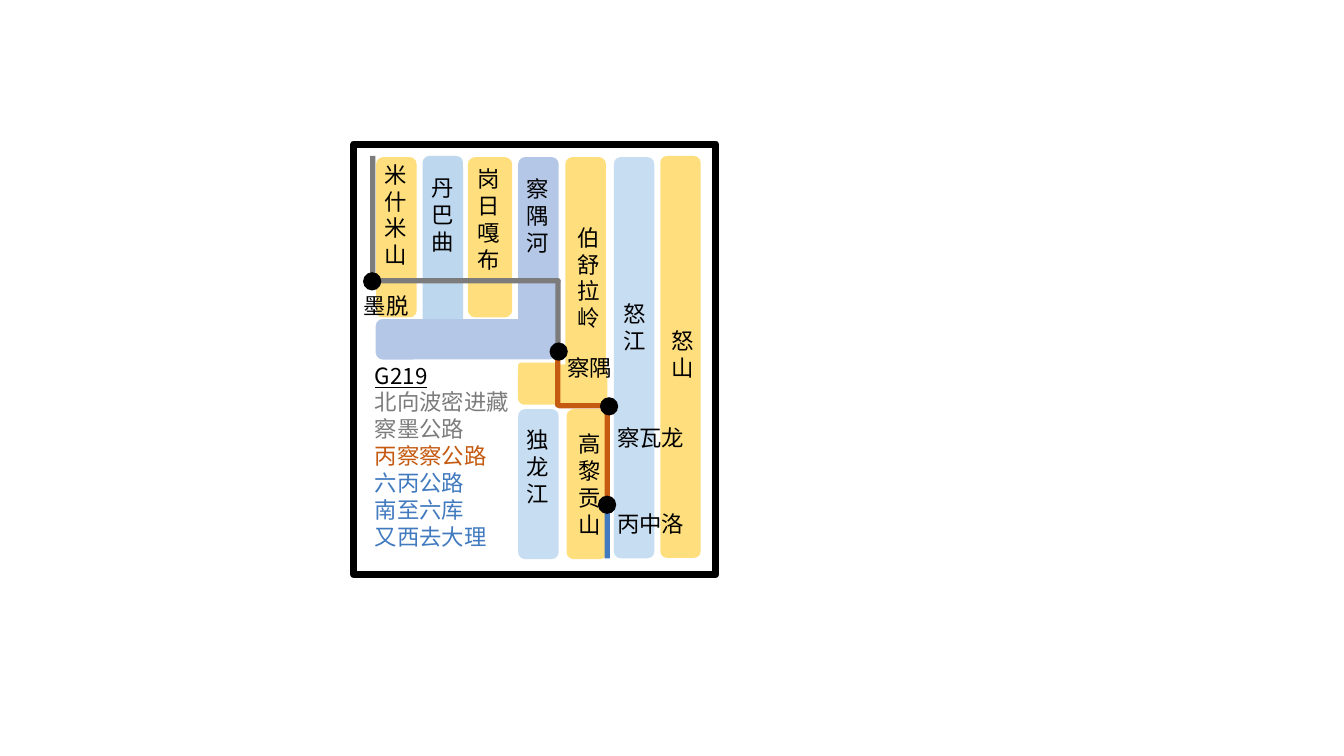
import dataclasses
import pptx
import pptx.dml.color
import pptx.enum.shapes
import pptx.enum.text
import pptx.oxml.ns
import pptx.util
from lxml import etree

Cm, Pt = pptx.util.Cm, pptx.util.Pt
RGB = pptx.dml.color.RGBColor.from_string
KIND = pptx.enum.shapes.MSO_SHAPE
ALIGN = pptx.enum.text.PP_ALIGN
MID = pptx.enum.text.MSO_ANCHOR.MIDDLE
qn = pptx.oxml.ns.qn


@dataclasses.dataclass(frozen=True)
class Theme:
    """Colours, font and type sizes of the map."""
    ink: str = "000000"
    gold: str = "FFC000"
    sand: str = "FFDF7D"
    river: str = "C7DDF1"
    stream: str = "BDD7EE"
    delta: str = "B4C7E7"
    grey: str = "7C7C7C"
    rust: str = "C55A11"
    blue: str = "417ABF"
    font: str = "Noto Sans CJK SC"
    size: float = 16
    pitch: float = 19.2
    frame: float = 5
    clear: int = 51


LOOK = Theme()


def place(box, x, y, wide, high):
    """Turn a spot inside the box into slide lengths."""
    return Cm(box[0] + x), Cm(box[1] + y), Cm(wide), Cm(high)


def form(slide, kind, spot, hue, adj=None):
    """Add a flat shape without outline or shadow."""
    item = slide.shapes.add_shape(kind, *spot)
    item.shadow.inherit = False
    item.line.fill.background()
    item.fill.solid()
    item.fill.fore_color.rgb = RGB(hue)
    if hue == LOOK.gold:
        tint = item.fill._xPr.find(".//" + qn("a:srgbClr"))
        etree.SubElement(tint, qn("a:alpha"), val=str(LOOK.clear * 1000))
    if adj is not None:
        item.adjustments[0] = adj
    return item


def write(frame, lines, align=ALIGN.LEFT):
    """Fill a text frame with (text, colour, underline) lines."""
    frame.word_wrap = True
    for num, (text, hue, under) in enumerate(lines):
        para = frame.add_paragraph() if num else frame.paragraphs[0]
        para.alignment, para.line_spacing = align, Pt(LOOK.pitch)
        run = para.add_run()
        run.text = text
        style = {"name": LOOK.font, "size": Pt(LOOK.size), "underline": under}
        for key, val in style.items():
            setattr(run.font, key, val)
        run.font.color.rgb = RGB(hue)
        etree.SubElement(run._r.get_or_add_rPr(), qn("a:ea"), typeface=LOOK.font)


def label(slide, spot, lines):
    """Add a text box with the given lines."""
    write(slide.shapes.add_textbox(*spot).text_frame, lines)


def land(slide, box):
    """Draw the ridges and rivers as rounded bands."""
    wide = 1.02
    bands = [
        (5.36, 6.68, wide, 3.78, LOOK.gold, "高黎贡山"),
        (7.72, 0.3, wide, 10.13, LOOK.gold, ""),
        (5.33, 0.33, wide, 6.07, LOOK.gold, "伯舒拉岭"),
        (4.14, 0.33, wide, 5.08, LOOK.delta, ""),
        (2.87, 0.33, 1.12, 4.04, LOOK.gold, ""),
        (1.73, 0.3, wide, 4.67, LOOK.stream, ""),
        (0.56, 0.33, wide, 4.04, LOOK.gold, ""),
        (0.55, 4.41, 4.55, wide, LOOK.delta, ""),
        (6.55, 0.33, wide, 10.11, LOOK.river, ""),
        (4.14, 6.68, wide, 3.78, LOOK.river, ""),
        (4.13, 5.55, 2.26, wide, LOOK.sand, ""),
    ]
    for *spot, hue, text in bands:
        band = form(slide, KIND.ROUNDED_RECTANGLE, place(box, *spot), hue)
        if text:
            band.text_frame.vertical_anchor = MID
            write(band.text_frame, [(text, LOOK.ink, False)], ALIGN.CENTER)
    for y, adj in ((5.51, 0.37), (5.56, 0)):
        form(slide, KIND.ROUNDED_RECTANGLE, place(box, 4.14, y, wide, 0.2), LOOK.sand, adj)


def roads(slide, box):
    """Draw the road stretches, each thin and straight."""
    thin = 0.13
    parts = [
        (0.41, 0.3, thin, 3.1, LOOK.grey, 0),
        (0.46, 3.38, 4.75, thin, LOOK.grey, 0.5),
        (5.08, 3.4, thin, 1.9, LOOK.grey, 0.5),
        (5.07, 5.17, thin, 1.47, LOOK.rust, 0.5),
        (5.11, 6.53, 1.35, thin, LOOK.rust, 0.5),
        (6.32, 6.63, thin, 2.44, LOOK.rust, 0),
        (6.32, 9.27, thin, 1.17, LOOK.blue, 0),
    ]
    for *spot, hue, adj in parts:
        kind = KIND.ROUNDED_RECTANGLE if adj else KIND.RECTANGLE
        form(slide, kind, place(box, *spot), hue, adj or None)


def names(slide, box):
    """Write the upright land names and the level town names."""
    upright = [
        ("米什米山", 0.53, 0.3, 1.14), ("丹巴曲", 1.7, 0.64, 1.02),
        ("岗日嘎布", 2.87, 0.41, 1.02), ("察隅河", 4.11, 0.66, 1.02),
        ("怒江", 6.55, 3.81, 1.22), ("怒山", 7.75, 4.5, 1.22),
        ("独龙江", 4.11, 6.98, 1.22),
    ]
    level = [
        ("墨脱", 0, 3.61, 1.96), ("察隅", 5.13, 5.16, 1.96),
        ("察瓦龙", 6.38, 6.93, 3.28), ("丙中洛", 6.38, 9.09, 3.28),
    ]
    for group, stacked in ((upright, True), (level, False)):
        for text, x, y, wide in group:
            rows = len(text) if stacked else 1
            spot = place(box, x, y, wide, 0.25 + 0.68 * rows)
            label(slide, spot, [(text, LOOK.ink, False)])


def legend(slide, box):
    """List the road names in the colours of their stretches."""
    lines = [
        ("G219", LOOK.ink, True),
        ("北向波密进藏", LOOK.grey, False),
        ("察墨公路", LOOK.grey, False),
        ("丙察察公路", LOOK.rust, False),
        ("六丙公路", LOOK.blue, False),
        ("南至六库", LOOK.blue, False),
        ("又西去大理", LOOK.blue, False),
    ]
    label(slide, place(box, 0.28, 5.36, 4.55, 5.05), lines)


def towns(slide, box):
    """Mark each town with a dot."""
    for x, y in ((6.15, 8.86), (0.23, 3.23), (4.93, 5), (6.2, 6.38)):
        form(slide, KIND.OVAL, place(box, x, y, 0.46, 0.46), LOOK.ink)


def border(slide, box):
    """Draw the open frame round the map."""
    item = form(slide, KIND.RECTANGLE, place(box, 0, 0, *box[2:]), LOOK.ink)
    item.fill.background()
    item.line.color.rgb = RGB(LOOK.ink)
    item.line.width = Pt(LOOK.frame)


def main():
    """Build the map slide and save it."""
    deck = pptx.Presentation()
    deck.slide_width, deck.slide_height = Cm(33.87), Cm(19.05)
    slide = deck.slides.add_slide(deck.slide_layouts[6])
    box = (8.92, 3.63, 9.12, 10.85)
    for draw in (land, roads, names, legend, border, towns):
        draw(slide, box)
    deck.save("out.pptx")


if __name__ == "__main__":
    main()
